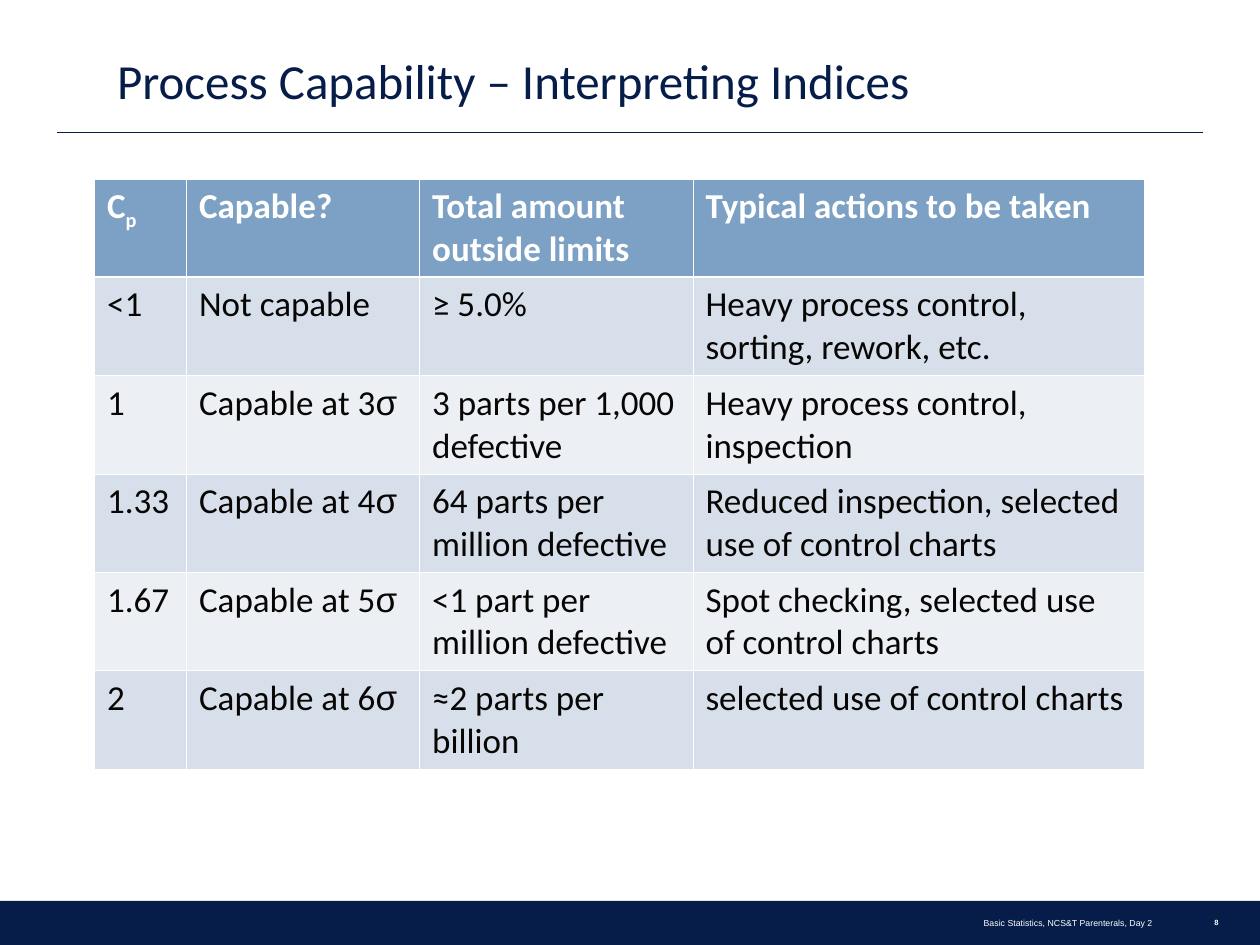
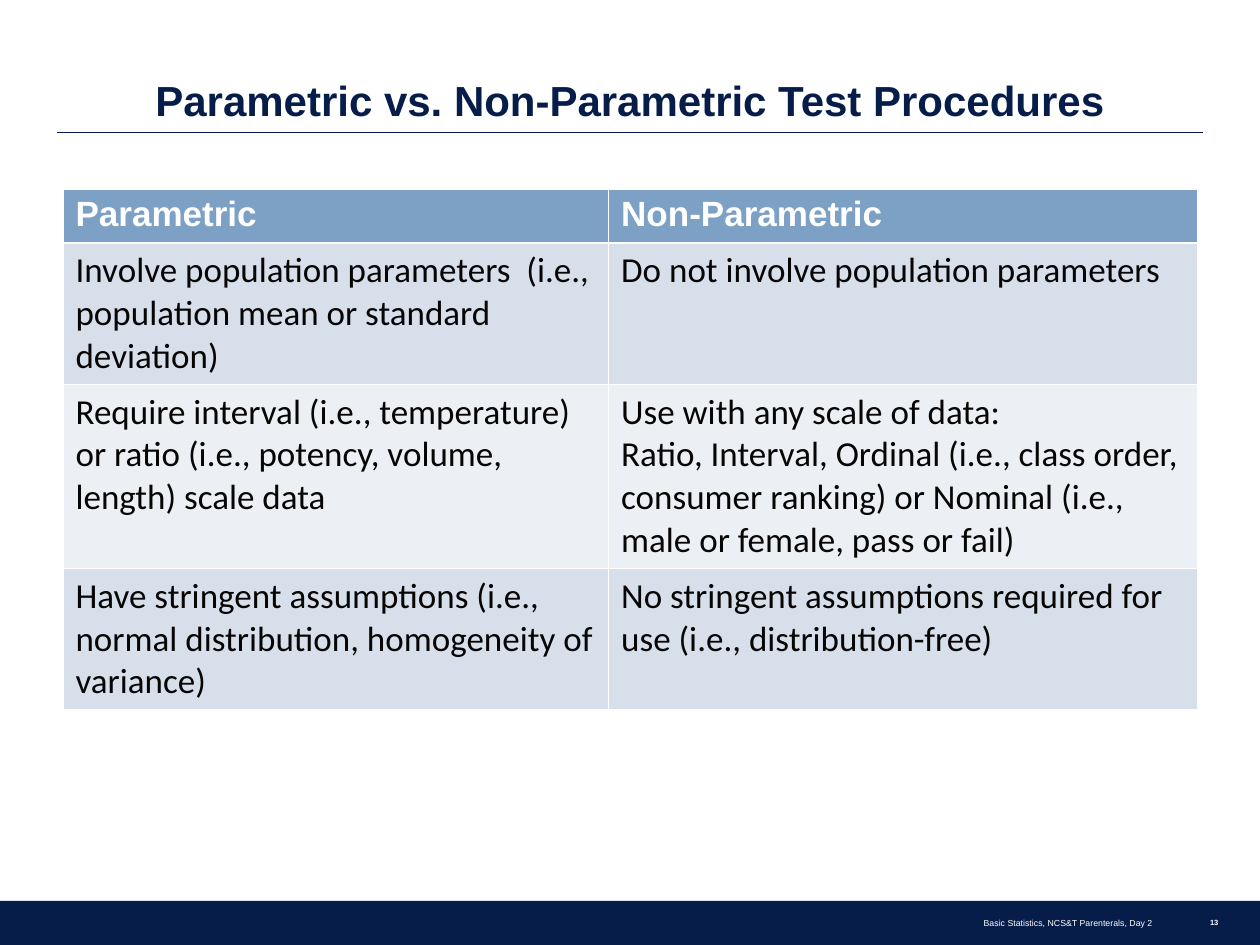
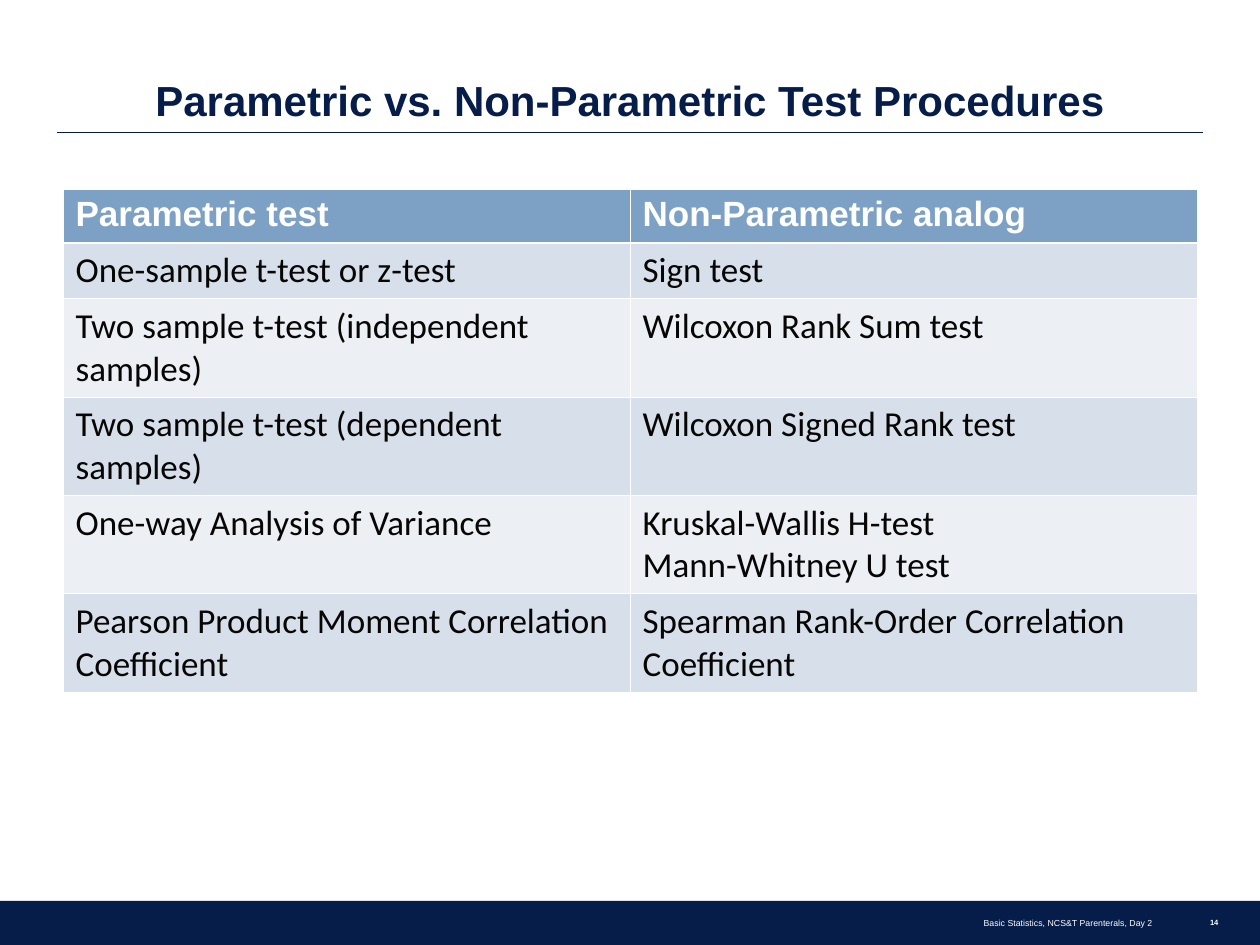
from dataclasses import dataclass

from pptx import Presentation
from pptx.dml.color import RGBColor
from pptx.enum import shapes, text
from pptx.oxml import parse_xml
from pptx.oxml.ns import nsdecls
from pptx.util import Inches, Pt

COLORS = {
    "navy": "071D49",
    "head": "7DA1C4",
    "odd": "D7E0EA",
    "even": "ECF0F5",
    "ink": "070605",
    "white": "FFFFFF",
}
FOOTER = "Basic Statistics, NCS&T Parenterals, Day 2"
SANS, BODY = "Arial", "Calibri"
LEFT, CENTER, RIGHT = text.PP_ALIGN.LEFT, text.PP_ALIGN.CENTER, text.PP_ALIGN.RIGHT
THIN, THICK = 0.45, 1.47
ONE, TWO, THREE, FOUR = 0.43, 0.77, 1.1, 1.43  # row heights by line count

Box = tuple[float, float, float, float]


@dataclass
class Title:
    text: str
    box: Box
    size: float
    face: str
    bold: bool
    align: text.PP_ALIGN


@dataclass
class Grid:
    left: float
    top: float
    cols: list[float]
    heights: list[float]
    face: str
    rows: list[list[str]]


@dataclass
class Page:
    number: int
    title: Title
    grid: Grid


VERSUS = Title("Parametric vs. Non-Parametric Test Procedures",
               (0.45, 0.25, 9.1, 0.8), 24, SANS, True, CENTER)

PAGES = [
    Page(8,
         Title("Process Capability – Interpreting Indices",
               (0.83, 0.17, 8.5, 0.75), 28, BODY, False, LEFT),
         Grid(0.75, 1.42, [0.73, 1.85, 2.17, 3.58], [TWO] * 6, BODY, [
             ["C_p", "Capable?", "Total amount outside limits",
              "Typical actions to be taken"],
             ["<1", "Not capable", "≥ 5.0%",
              "Heavy process control, sorting, rework, etc."],
             ["1", "Capable at 3σ", "3 parts per 1,000 defective",
              "Heavy process control, inspection"],
             ["1.33", "Capable at 4σ", "64 parts per million defective",
              "Reduced inspection, selected use of control charts"],
             ["1.67", "Capable at 5σ", "<1 part per million defective",
              "Spot checking, selected use of control charts"],
             ["2", "Capable at 6σ", "≈2 parts per billion",
              "selected use of control charts"],
         ])),
    Page(13, VERSUS,
         Grid(0.5, 1.5, [4.33, 4.67], [ONE, THREE, FOUR, THREE], SANS, [
             ["Parametric", "Non-Parametric"],
             ["Involve population parameters  (i.e., population mean or "
              "standard deviation)",
              "Do not involve population parameters"],
             ["Require interval (i.e., temperature) or ratio (i.e., potency, "
              "volume, length) scale data",
              "Use with any scale of data:\n"
              "Ratio, Interval, Ordinal (i.e., class order, consumer ranking) "
              "or Nominal (i.e., male or female, pass or fail)"],
             ["Have stringent assumptions (i.e., normal distribution, "
              "homogeneity of variance)",
              "No stringent assumptions required for use "
              "(i.e., distribution-free)"],
         ])),
    Page(14, VERSUS,
         Grid(0.5, 1.5, [4.5, 4.5], [ONE, ONE] + [TWO] * 4, SANS, [
             ["Parametric test", "Non-Parametric analog"],
             ["One-sample t-test or z-test", "Sign test"],
             ["Two sample t-test (independent samples)",
              "Wilcoxon Rank Sum test"],
             ["Two sample t-test (dependent samples)",
              "Wilcoxon Signed Rank test"],
             ["One-way Analysis of Variance",
              "Kruskal-Wallis H-test\nMann-Whitney U test"],
             ["Pearson Product Moment Correlation Coefficient",
              "Spearman Rank-Order Correlation Coefficient"],
         ])),
]


def color(name: str) -> RGBColor:
    return RGBColor.from_string(COLORS[name])


def style(para, size: float, face: str, ink: str, bold: bool = False) -> None:
    font = para.font
    font.size, font.name, font.bold = Pt(size), face, bold
    font.color.rgb = color(ink)


def place(shape, box: Box) -> None:
    shape.left, shape.top, shape.width, shape.height = map(Inches, box)


def dress(layout, slide) -> None:
    """Draw the band and the title rule, then move them to the layout."""
    band = slide.shapes.add_shape(shapes.MSO_SHAPE.RECTANGLE, Inches(0),
                                  Inches(7.15), Inches(10), Inches(0.35))
    band.shadow.inherit = False
    band.fill.solid()
    band.fill.fore_color.rgb = color("navy")
    band.line.fill.background()
    rule = slide.shapes.add_connector(shapes.MSO_CONNECTOR.STRAIGHT, Inches(0.45),
                                      Inches(1.05), Inches(9.55), Inches(1.05))
    rule.line.color.rgb = color("navy")
    rule.line.width = Pt(0.75)
    rule._element.spPr.append(parse_xml(f"<a:effectLst {nsdecls('a')}/>"))
    for part in (band, rule):
        layout.shapes._spTree.insert_element_before(part._element, "p:extLst")


def add_title(slide, title: Title) -> None:
    shape = slide.shapes.title
    place(shape, title.box)
    frame = shape.text_frame
    frame.text = title.text
    frame.vertical_anchor = text.MSO_ANCHOR.BOTTOM
    para = frame.paragraphs[0]
    para.alignment, para.line_spacing = title.align, 0.9
    style(para, title.size, title.face, "navy", title.bold)


def add_note(slide, words: str, box: Box, size: float, inset: float,
             bold: bool = False) -> None:
    """Add a right-aligned text on the footer band."""
    shape = slide.shapes.add_textbox(*map(Inches, box))
    frame = shape.text_frame
    frame.word_wrap = True
    frame.vertical_anchor = text.MSO_ANCHOR.MIDDLE
    frame.margin_right = Inches(inset)
    frame.text = words
    para = frame.paragraphs[0]
    para.alignment, para.line_spacing, para.space_after = RIGHT, 0.8, Pt(4.5)
    style(para, size, SANS, "white", bold)


def edge(cell, row: int) -> None:
    """Give a cell white borders, thick between the header and the body."""
    widths = {"L": THIN, "R": THIN, "T": THICK if row == 1 else THIN,
              "B": THICK if row == 0 else THIN}
    props = cell._tc.get_or_add_tcPr()
    for side, width in widths.items():
        props.append(parse_xml(
            f'<a:ln{side} {nsdecls("a")} w="{Pt(width)}"><a:solidFill>'
            f'<a:srgbClr val="{COLORS["white"]}"/></a:solidFill></a:ln{side}>'))


def write(para, words: str) -> None:
    """Add runs: text after "_" is lowered, and a sigma is set in Arial."""
    base, _, sub = words.partition("_")
    stem, sigma, _ = base.partition("σ")
    para.add_run().text = stem
    if sigma:
        run = para.add_run()
        run.text, run.font.name = sigma, SANS
    if sub:
        run = para.add_run()
        run.text = sub
        run._r.get_or_add_rPr().set("baseline", "-25000")


def add_grid(slide, grid: Grid) -> None:
    table = slide.shapes.add_table(
        len(grid.rows), len(grid.cols), Inches(grid.left), Inches(grid.top),
        Inches(sum(grid.cols)), Inches(sum(grid.heights))).table
    for col, width in zip(table.columns, grid.cols):
        col.width = Inches(width)
    for r, (line, height) in enumerate(zip(grid.rows, grid.heights)):
        table.rows[r].height = Inches(height)
        head = r == 0
        fill = "head" if head else "odd" if r % 2 else "even"
        for c, words in enumerate(line):
            cell = table.cell(r, c)
            edge(cell, r)
            cell.fill.solid()
            cell.fill.fore_color.rgb = color(fill)
            frame = cell.text_frame
            for i, part in enumerate(words.split("\n")):
                para = frame.add_paragraph() if i else frame.paragraphs[0]
                write(para, part)
                style(para, 20, grid.face if head else BODY,
                      "white" if head else "ink", head)


def main() -> None:
    deck = Presentation()
    deck.slide_width, deck.slide_height = Inches(10), Inches(7.5)
    layout = deck.slide_layouts.get_by_name("Title Only")
    for i, page in enumerate(PAGES):
        slide = deck.slides.add_slide(layout)
        if i == 0:
            dress(layout, slide)
        add_title(slide, page.title)
        add_grid(slide, page.grid)
        add_note(slide, FOOTER, (3.25, 7.23, 6, 0.2), 5, 0.1)
        add_note(slide, str(page.number), (9.28, 7.24, 0.39, 0.18), 4.3, 0, True)
    deck.save("out.pptx")


if __name__ == "__main__":
    main()
